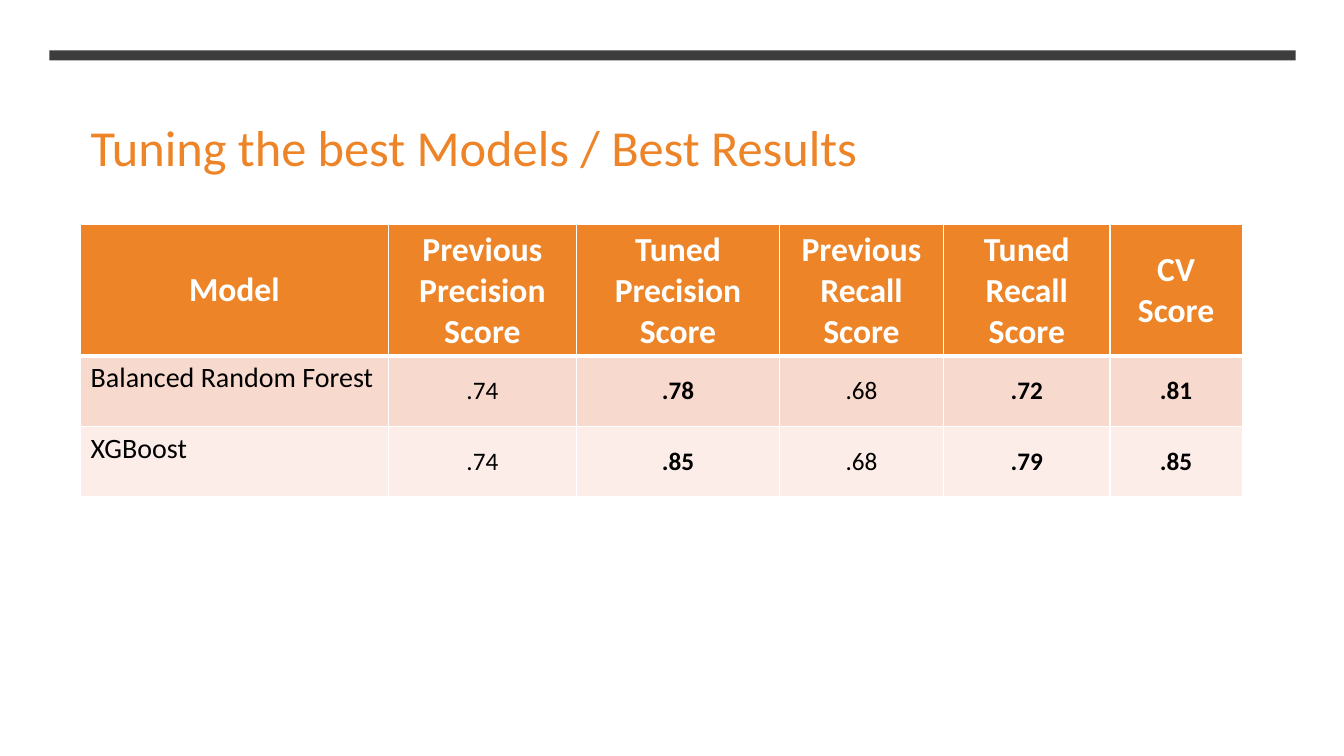
import pptx
import pptx.dml.color
import pptx.enum.shapes
import pptx.enum.text
import pptx.oxml
import pptx.oxml.ns
import pptx.util
from dataclasses import dataclass

ALIGN = pptx.enum.text.PP_ALIGN
ANCHOR = pptx.enum.text.MSO_ANCHOR
WIDTH, HEIGHT = pptx.util.Inches(13.33), pptx.util.Inches(7.5)


@dataclass(frozen=True)
class Theme:
    font: str = "Calibri"
    paper: str = "FFFFFF"
    ink: str = "000000"
    bar: str = "3D3D3D"
    accent: str = "ED8428"
    bands: tuple = ("F8D9CD", "FCEDE8")
    title_size: int = 36
    header_size: int = 24
    model_size: int = 20
    score_size: int = 18
    thin_rule: int = 1
    thick_rule: int = 3


THEME = Theme()

# Column widths and row heights, in percent of the slide
COLUMN_SHARES = (22.88, 14.03, 15.08, 12.23, 12.38, 9.83)
ROW_SHARES = (17.2, 9.33, 9.33)
HEADERS = ("Model", "Previous Precision Score", "Tuned\nPrecision Score",
           "Previous Recall Score", "Tuned\nRecall Score", "CV Score")
RESULTS = (("Balanced Random Forest", ".74", ".78", ".68", ".72", ".81"),
           ("XGBoost", ".74", ".85", ".68", ".79", ".85"))
TUNED_COLUMNS = (2, 4, 5)


def across(percent):
    return round(WIDTH * percent / 100)


def down(percent):
    return round(HEIGHT * percent / 100)


def box(left, top, width, height):
    return across(left), down(top), across(width), down(height)


def rgb(colour):
    return pptx.dml.color.RGBColor.from_string(colour)


def write(frame, wording, colour, align=ALIGN.LEFT, **font_format):
    frame.text = wording
    font_format["name"] = THEME.font
    for paragraph in frame.paragraphs:
        paragraph.alignment = align
        for run in paragraph.runs:
            run.font.color.rgb = rgb(colour)
            for attribute, value in font_format.items():
                setattr(run.font, attribute, value)


def add_bar(slide, place):
    bar = slide.shapes.add_shape(pptx.enum.shapes.MSO_SHAPE.RECTANGLE, *place)
    bar.shadow.inherit = False
    bar.fill.solid()
    bar.fill.fore_color.rgb = rgb(THEME.bar)
    bar.line.fill.background()


def add_title(slide, place, wording):
    frame = slide.shapes.add_textbox(*place).text_frame
    frame.word_wrap = True
    write(frame, wording, THEME.accent, size=pptx.util.Pt(THEME.title_size))


def rule_cell(cell, row):
    """Draw white borders, with a thick one between header and body."""
    thin, thick = THEME.thin_rule, THEME.thick_rule
    widths = {"lnL": thin, "lnR": thin,
              "lnT": thick if row == 1 else thin,
              "lnB": thick if row == 0 else thin}
    properties = cell._tc.get_or_add_tcPr()
    for position, (side, points) in enumerate(widths.items()):
        properties.insert(position, pptx.oxml.parse_xml(
            f'<a:{side} {pptx.oxml.ns.nsdecls("a")} w="{pptx.util.Pt(points)}">'
            f'<a:solidFill><a:srgbClr val="{THEME.paper}"/></a:solidFill>'
            f'</a:{side}>'))


def cell_style(row, column):
    """Return fill, text colour, alignment, anchor, size and weight."""
    if row == 0:
        return (THEME.accent, THEME.paper, ALIGN.CENTER, ANCHOR.MIDDLE,
                THEME.header_size, True)
    band = THEME.bands[row - 1]
    if column == 0:
        return band, THEME.ink, ALIGN.LEFT, ANCHOR.TOP, THEME.model_size, False
    return (band, THEME.ink, ALIGN.CENTER, ANCHOR.MIDDLE, THEME.score_size,
            column in TUNED_COLUMNS)


def add_scores(slide, left, top):
    place = box(left, top, sum(COLUMN_SHARES), sum(ROW_SHARES))
    scores = slide.shapes.add_table(
        len(ROW_SHARES), len(COLUMN_SHARES), *place).table
    for column, share in zip(scores.columns, COLUMN_SHARES):
        column.width = across(share)
    for line, share in zip(scores.rows, ROW_SHARES):
        line.height = down(share)
    for row, entries in enumerate((HEADERS, *RESULTS)):
        for column, wording in enumerate(entries):
            cell = scores.cell(row, column)
            fill, colour, align, anchor, size, bold = cell_style(row, column)
            cell.fill.solid()
            cell.fill.fore_color.rgb = rgb(fill)
            cell.vertical_anchor = anchor
            write(cell.text_frame, wording, colour, align,
                  size=pptx.util.Pt(size), bold=bold)
            rule_cell(cell, row)


def main():
    deck = pptx.Presentation()
    deck.slide_width, deck.slide_height = WIDTH, HEIGHT
    slide = deck.slides.add_slide(deck.slide_layouts[6])

    # White page with a dark bar along the top
    slide.background.fill.solid()
    slide.background.fill.fore_color.rgb = rgb(THEME.paper)
    add_bar(slide, box(3.68, 6.67, 92.72, 1.33))

    # Title and table of scores share a left margin
    margin = 6
    add_title(slide, box(margin, 14.67, 76.52, 9.47),
              "Tuning the best Models / Best Results")
    add_scores(slide, margin, 29.73)

    deck.save("out.pptx")


if __name__ == "__main__":
    main()
